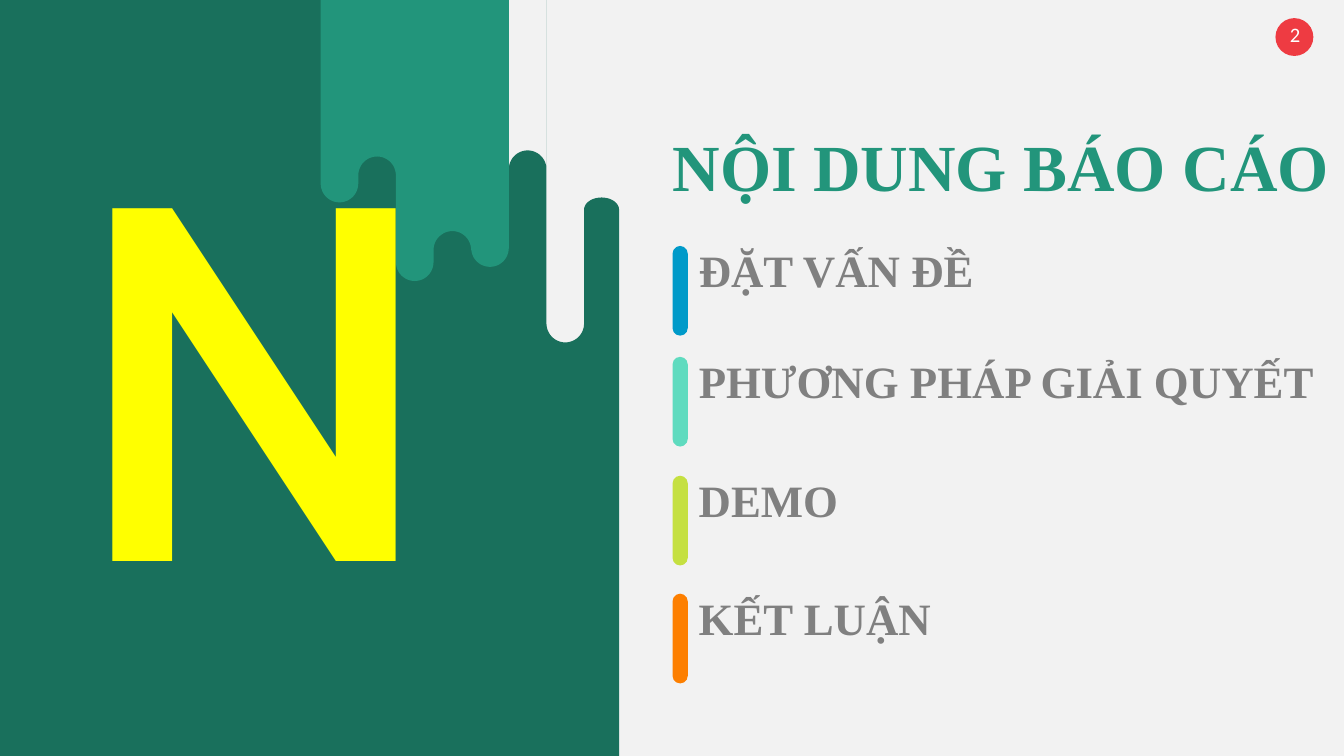
from dataclasses import dataclass
from math import cos, pi, sin

from pptx import Presentation
from pptx.dml.color import RGBColor
from pptx.enum.shapes import MSO_SHAPE
from pptx.enum.text import MSO_ANCHOR, PP_ALIGN
from pptx.util import Inches, Pt

WIDTH, HEIGHT = Inches(13.33), Inches(7.5)
COLORS = {
    "background": "F2F2F2", "panel": "19705C", "accent": "22957B",
    "topic": "808080", "letter": "FFFF00", "badge": "EE3B42", "white": "FFFFFF",
    "blue": "009AC9", "mint": "5FDBBF", "lime": "C5E041", "orange": "FD7F00",
}

# All lengths are percentages of the slide's width or height
DRIP_LEFT, DRIP_WIDTH = 23.86, 2.8
PANEL_RIGHT = 46.06
CURTAIN_TOP = -20.67
BAR_LEFT, BAR_WIDTH, BAR_HEIGHT = 50.04, 1.13, 11.87
ARC_STEPS = 24

Point = tuple[float, float]


@dataclass(frozen=True)
class Box:
    left: float
    top: float
    width: float
    height: float

    def lengths(self) -> tuple[int, int, int, int]:
        return (across(self.left), down(self.top),
                across(self.width), down(self.height))


@dataclass(frozen=True)
class Drip:
    """A rounded end in one drip column; a negative depth bulges upwards."""
    column: int
    base: float
    depth: float = 2.5


@dataclass(frozen=True)
class Topic:
    text: str
    color: str
    top: float
    width: float


TOPICS = [
    Topic("ĐẶT VẤN ĐỀ", "blue", 32.53, 48.01),
    Topic("PHƯƠNG PHÁP GIẢI QUYẾT", "mint", 47.2, 48.01),
    Topic("DEMO", "lime", 62.93, 32.33),
    Topic("KẾT LUẬN", "orange", 78.53, 32.33),
]
CURTAIN_DRIPS = [Drip(0, 24.27), Drip(1, 23.2, -2.5), Drip(2, 34.67),
                 Drip(3, 33.07, -2.5), Drip(4, 32.8)]
PANEL_LEFT_DRIPS = [Drip(4, 28.8), Drip(5, 22.4, -2.5)]
PANEL_RIGHT_DRIPS = [Drip(6, 42.8), Drip(7, 27.73, -1.6)]


def across(percent: float) -> int:
    return round(WIDTH * percent / 100)


def down(percent: float) -> int:
    return round(HEIGHT * percent / 100)


def color(name: str) -> RGBColor:
    return RGBColor.from_string(COLORS[name])


def column_left(column: int) -> float:
    return DRIP_LEFT + DRIP_WIDTH * column


def drip_points(drips: list[Drip]) -> list[Point]:
    points = []
    for drip in drips:
        left = column_left(drip.column)
        radius = (min(left + DRIP_WIDTH, PANEL_RIGHT) - left) / 2
        for step in range(ARC_STEPS + 1):
            angle = pi * step / ARC_STEPS
            points.append((left + radius * (1 - cos(angle)),
                           drip.base + drip.depth * sin(angle)))
    return points


def paint(shape, fill: str) -> None:
    shape.shadow.inherit = False
    shape.fill.solid()
    shape.fill.fore_color.rgb = color(fill)
    shape.line.fill.background()


def add_outline(slide, points: list[Point], fill: str) -> None:
    corners = [(across(x), down(y)) for x, y in points]
    builder = slide.shapes.build_freeform(*corners[0])
    builder.add_line_segments(corners[1:], close=True)
    paint(builder.convert_to_shape(), fill)


def add_pill(slide, box: Box, fill: str) -> None:
    shape = slide.shapes.add_shape(MSO_SHAPE.ROUNDED_RECTANGLE, *box.lengths())
    shape.adjustments[0] = 0.5
    paint(shape, fill)


def add_text(slide, box: Box, text: str, *, size: float, fill: str,
             font: str = "Times New Roman", bold: bool = True,
             align: PP_ALIGN = PP_ALIGN.LEFT, anchor: MSO_ANCHOR = MSO_ANCHOR.TOP,
             spacing: float = 0.9, right: float = 0.1, margin: float = 0.05) -> None:
    frame = slide.shapes.add_textbox(*box.lengths()).text_frame
    frame.word_wrap = True
    frame.vertical_anchor = anchor
    frame.margin_left, frame.margin_right = 0, Inches(right)
    frame.margin_top = frame.margin_bottom = Inches(margin)
    paragraph = frame.paragraphs[0]
    paragraph.alignment = align
    paragraph.line_spacing = spacing
    run = paragraph.add_run()
    run.text = text
    run.font.name, run.font.size, run.font.bold = font, Pt(size), bold
    run.font.color.rgb = color(fill)


def main() -> None:
    presentation = Presentation()
    presentation.slide_width, presentation.slide_height = WIDTH, HEIGHT
    slide = presentation.slides.add_slide(presentation.slide_layouts[6])
    slide.background.fill.solid()
    slide.background.fill.fore_color.rgb = color("background")

    # Page number
    add_pill(slide, Box(94.9, 2.4, 2.82, 5), "badge")
    add_text(slide, Box(93.32, 1.87, 6.08, 5.33), "2", size=14.7, fill="white",
             font="Calibri", bold=False, align=PP_ALIGN.CENTER,
             anchor=MSO_ANCHOR.MIDDLE, spacing=1, right=0, margin=0.07)

    # Dark panel with dripping edge
    add_outline(slide, [
        (0, 0), (column_left(4), 0), *drip_points(PANEL_LEFT_DRIPS),
        (column_left(6), 0), *drip_points(PANEL_RIGHT_DRIPS),
        (PANEL_RIGHT, 100), (0, 100),
    ], "panel")

    # Topics
    for topic in TOPICS:
        add_text(slide, Box(51.99, topic.top - 0.9, topic.width, 9), topic.text,
                 size=32, fill="topic", right=0, margin=0.1)
        add_pill(slide, Box(BAR_LEFT, topic.top, BAR_WIDTH, BAR_HEIGHT), topic.color)

    # Title
    add_text(slide, Box(BAR_LEFT, 17.2, 50.04, 10.67), "NỘI DUNG BÁO CÁO",
             size=47, fill="accent")

    # Lighter dripping curtain
    add_outline(slide, [
        (column_left(0), CURTAIN_TOP), *drip_points(CURTAIN_DRIPS),
        (column_left(5), CURTAIN_TOP),
    ], "accent")

    # Large letter
    add_text(slide, Box(4.05, 17.6, 30.53, 60.4), "N", size=350, fill="letter",
             font="Manrope", align=PP_ALIGN.CENTER)

    presentation.save("out.pptx")


if __name__ == "__main__":
    main()
